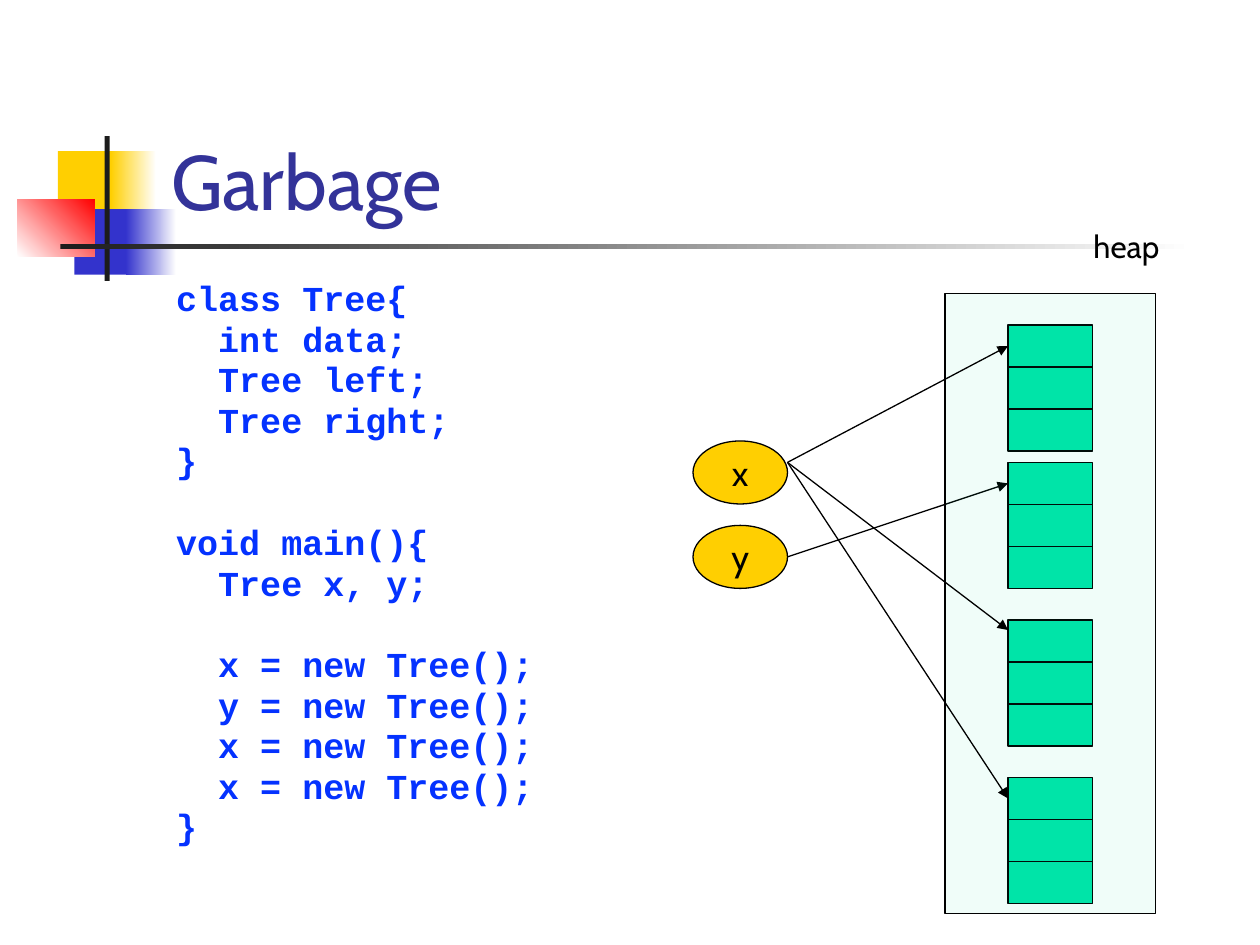
from lxml.etree import SubElement
from pptx import Presentation
from pptx.dml.color import RGBColor
from pptx.enum.shapes import MSO_CONNECTOR, MSO_SHAPE
from pptx.enum.text import MSO_ANCHOR, PP_ALIGN
from pptx.oxml.ns import qn
from pptx.util import Inches, Pt

COLORS = {
    "yellow": "FFCF01", "blue": "3333CC", "red": "FF0000", "white": "FFFFFF",
    "dark": "1C1C1C", "title": "333399", "code": "0432FF", "green": "00E4A8",
    "black": "000000",
}
CODE = """class Tree{
  int data;
  Tree left;
  Tree right;
}

void main(){
  Tree x, y;

  x = new Tree();
  y = new Tree();
  x = new Tree();
  x = new Tree();
}"""


def rgb(name):
    """Return the palette colour with this name."""
    return RGBColor.from_string(COLORS[name])


def add_block(shapes, kind, left, top, width, height, color, outlined=False):
    """Add a solid shape, with a thin black outline on request."""
    block = shapes.add_shape(kind, left, top, width, height)
    block.shadow.inherit = False
    block.fill.solid()
    block.fill.fore_color.rgb = rgb(color)
    if outlined:
        block.line.color.rgb = rgb("black")
        block.line.width = Pt(0.75)
    else:
        block.line.fill.background()
    return block


def add_run(paragraph, text, size, color, font="Cabin", bold=False):
    """Append one formatted run to a paragraph."""
    run = paragraph.add_run()
    run.text = text
    run.font.size = Pt(size)
    run.font.name = font
    run.font.bold = bold
    run.font.color.rgb = rgb(color)


def add_ornament(slide, left, top):
    """Draw the coloured squares and the two crossing bars."""
    parts = [
        (0.32, 0.12, 0.48, 0.52, "yellow", None, 0),
        (0.74, 0.12, 0.36, 0.52, "yellow", "white", 0),
        (0.45, 0.58, 0.46, 0.52, "blue", None, 0),
        (0.86, 0.58, 0.4, 0.52, "blue", "white", 0),
        (0, 0.5, 0.61, 0.46, "white", "red", 45),
        (0.69, 0, 0.04, 1.15, "dark", None, 0),
        (0.34, 0.86, 9, 0.04, "dark", "white", 0),
    ]
    for x, y, width, height, start, end, angle in parts:
        part = add_block(slide.shapes, MSO_SHAPE.RECTANGLE, left + Inches(x),
                         top + Inches(y), Inches(width), Inches(height), start)
        if end:
            part.fill.gradient()
            part.fill.gradient_angle = angle
            for stop, color in zip(part.fill.gradient_stops, (start, end)):
                stop.color.rgb = rgb(color)


def add_title(slide, left, top, width, height):
    """Place the slide title at the bottom of its box."""
    frame = slide.shapes.add_textbox(left, top, width, height).text_frame
    frame.word_wrap = True
    frame.vertical_anchor = MSO_ANCHOR.BOTTOM
    add_run(frame.paragraphs[0], "Garbage", 44, "title")


def add_code(slide, left, top, width, height):
    """Write the code, turning its empty lines into paragraph spacing."""
    frame = slide.shapes.add_textbox(left, top, width, height).text_frame
    frame.word_wrap = True
    paragraph = frame.paragraphs[0]
    gap = 0
    for line in CODE.splitlines():
        if not line:
            gap += 23.3
            continue
        if gap:
            paragraph = frame.add_paragraph()
        paragraph.line_spacing = 0.8
        paragraph.space_before = Pt(gap)
        add_run(paragraph, line, 20, "code", "Courier New", True)
        gap = 4


def add_variable(slide, name, left, top):
    """Draw one variable as a labelled ellipse."""
    variable = add_block(slide.shapes, MSO_SHAPE.OVAL, left, top,
                         Inches(0.75), Inches(0.5), "yellow", True)
    frame = variable.text_frame
    frame.word_wrap = False
    frame.vertical_anchor = MSO_ANCHOR.MIDDLE
    frame.paragraphs[0].alignment = PP_ALIGN.CENTER
    add_run(frame.paragraphs[0], name, 20, "black")
    return variable


def add_tree(slide, left, top, width, height):
    """Draw a tree object of three grouped cells and return the first cell."""
    group = slide.shapes.add_group_shape()
    cell_height = height // 3
    cells = [add_block(group.shapes, MSO_SHAPE.RECTANGLE, left,
                       top + row * cell_height, width, cell_height, "green", True)
             for row in range(3)]
    return cells[0]


def add_heap(slide, left, top, width, height):
    """Draw the translucent heap area with its label."""
    heap = add_block(slide.shapes, MSO_SHAPE.RECTANGLE, left, top, width, height,
                     "green", True)
    color = heap.fill._xPr.find(qn("a:solidFill"))[0]
    SubElement(color, qn("a:alpha"), val="6000")
    label = slide.shapes.add_textbox(left + Inches(1.08), top - Inches(0.58),
                                     Inches(0.75), Inches(0.4))
    label.text_frame.word_wrap = False
    add_run(label.text_frame.paragraphs[0], "heap", 18, "black")


def add_reference(slide, start, end, cell=None):
    """Draw an arrow, joined to the left side of a cell when one is given."""
    arrow = slide.shapes.add_connector(MSO_CONNECTOR.STRAIGHT, *start, *end)
    if cell is not None:
        arrow.end_connect(cell, 1)
    arrow.line.color.rgb = rgb("black")
    arrow.line.width = Pt(0.75)
    SubElement(arrow.line._get_or_add_ln(), qn("a:tailEnd"), type="triangle")
    SubElement(arrow._element.spPr, qn("a:effectLst"))


def add_memory(slide, left, top, width, height):
    """Draw the variables, the heap with its trees, and the references."""
    x, y = (add_variable(slide, name, left, top + Inches(offset))
            for name, offset in (("x", 1.17), ("y", 1.84)))
    cells = [add_tree(slide, left + Inches(2.5), top + Inches(offset),
                      Inches(0.67), Inches(1))
             for offset in (0.25, 1.34, 2.59, 3.84)]
    first_x, only_y, second_x, third_x = cells
    edge = x.left + x.width
    x_start = (edge, x.top + Inches(0.17))
    y_start = (edge, y.top + y.height // 2)
    add_reference(slide, y_start, (only_y.left, only_y.top), only_y)
    add_heap(slide, left + Inches(2), top, width - Inches(2), height)
    add_reference(slide, x_start, (first_x.left, first_x.top), first_x)
    add_reference(slide, x_start, (second_x.left, second_x.top + Inches(0.08)))
    add_reference(slide, x_start, (third_x.left, third_x.top), third_x)


def main():
    """Build and save the slide."""
    deck = Presentation()
    deck.slide_width, deck.slide_height = Inches(10), Inches(7.5)
    slide = deck.slides.add_slide(deck.slide_layouts[6])
    add_ornament(slide, Inches(0.14), Inches(1.08))
    add_title(slide, Inches(1.26), Inches(0.24), Inches(8.52), Inches(1.6))
    add_code(slide, Inches(1.3), Inches(2.21), Inches(3.87), Inches(4.5))
    add_memory(slide, Inches(5.5), Inches(2.33), Inches(3.67), Inches(4.92))
    deck.save("out.pptx")


if __name__ == "__main__":
    main()
